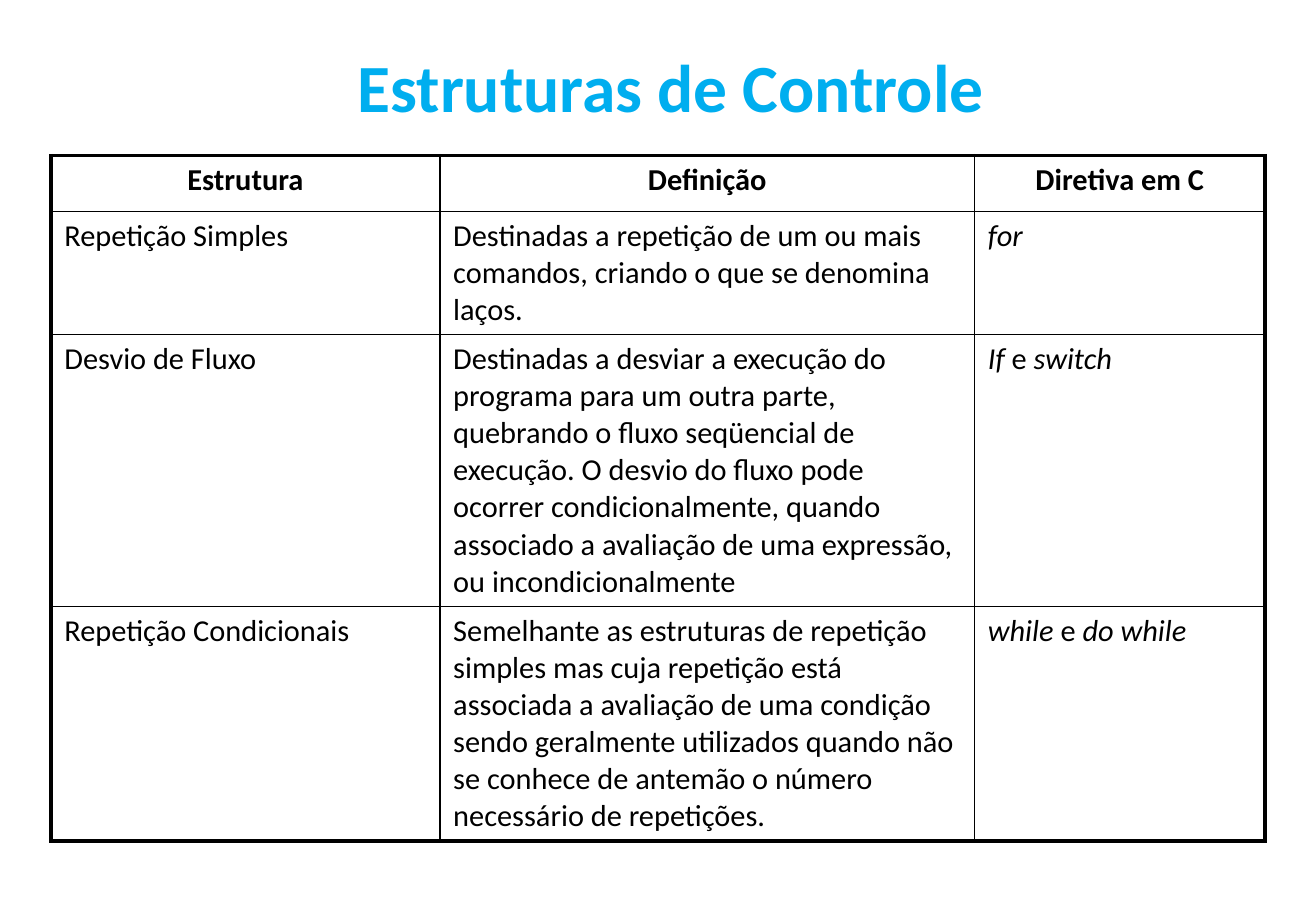
from typing import NamedTuple

from lxml.etree import SubElement
from pptx import Presentation
from pptx.dml.color import RGBColor
from pptx.enum.text import MSO_ANCHOR, MSO_AUTO_SIZE, PP_ALIGN
from pptx.oxml.ns import qn
from pptx.util import Inches, Pt

COLORS = {"title": "00AEEF", "text": "000000", "border": "000000"}
FONT = "Calibri"
COL_SHARES = (29.55, 40.63, 22.07)
ROW_SHARES = (6.13, 13.33, 29.33, 25.33)
INNER, OUTER = 1, 2.25


class Run(NamedTuple):
    text: str
    bold: bool = False
    italic: bool = False


class Structure(NamedTuple):
    name: str
    definition: str
    directive: tuple[Run, ...]


HEADERS = ("Estrutura", "Definição", "Diretiva em C")
STRUCTURES = (
    Structure(
        "Repetição Simples",
        "Destinadas a repetição de um ou mais comandos, criando o que se denomina laços.",
        (Run("for", italic=True),),
    ),
    Structure(
        "Desvio de Fluxo",
        "Destinadas a desviar a execução do programa para um outra parte, "
        "quebrando o fluxo seqüencial de execução. O desvio do fluxo pode "
        "ocorrer condicionalmente, quando associado a avaliação de uma "
        "expressão, ou incondicionalmente",
        (Run("If", italic=True), Run(" e "), Run("switch", italic=True)),
    ),
    Structure(
        "Repetição Condicionais",
        "Semelhante as estruturas de repetição simples mas cuja repetição está "
        "associada a avaliação de uma condição sendo geralmente utilizados "
        "quando não se conhece de antemão o número necessário de repetições.",
        (Run("while ", italic=True), Run("e"), Run(" do while", italic=True)),
    ),
)

prs = Presentation()
prs.slide_width, prs.slide_height = Inches(10.83), Inches(7.5)


def across(percent: float) -> int:
    return round(prs.slide_width * percent / 100)


def down(percent: float) -> int:
    return round(prs.slide_height * percent / 100)


def write(tf, runs: tuple[Run, ...], *, size: float = 18, color: str = "text",
          align: PP_ALIGN = PP_ALIGN.LEFT) -> None:
    p = tf.paragraphs[0]
    p.alignment = align
    p.space_before = Pt(0)
    for run in runs:
        r = p.add_run()
        r.text = run.text
        r.font.name, r.font.size = FONT, Pt(size)
        r.font.bold, r.font.italic = run.bold, run.italic
        r.font.color.rgb = RGBColor.from_string(COLORS[color])


def set_borders(cell, **widths: float) -> None:
    tc_pr = cell._tc.get_or_add_tcPr()
    for side, width in widths.items():
        ln = SubElement(tc_pr, qn(f"a:ln{side}"), w=str(Pt(width)))
        SubElement(SubElement(ln, qn("a:solidFill")), qn("a:srgbClr"), val=COLORS["border"])


def add_title(s, text: str) -> None:
    title = s.shapes.title
    title.left, title.top = across(5.17), down(3.73)
    title.width, title.height = across(91.6), down(11.33)
    tf = title.text_frame
    tf.auto_size, tf.vertical_anchor = MSO_AUTO_SIZE.NONE, MSO_ANCHOR.MIDDLE
    write(tf, (Run(text, bold=True),), size=40, color="title", align=PP_ALIGN.CENTER)


def add_structures(s) -> None:
    rows = [tuple((Run(h, bold=True),) for h in HEADERS)]
    rows += [((Run(x.name),), (Run(x.definition),), x.directive) for x in STRUCTURES]
    last_row, last_col = len(rows) - 1, len(HEADERS) - 1
    table = s.shapes.add_table(
        len(rows), len(HEADERS), across(3.88), down(17.07),
        across(sum(COL_SHARES)), down(sum(ROW_SHARES)),
    ).table
    table.first_row = table.horz_banding = False
    for col, share in zip(table.columns, COL_SHARES):
        col.width = across(share)
    for row, share in zip(table.rows, ROW_SHARES):
        row.height = down(share)
    for i, row in enumerate(rows):
        for j, runs in enumerate(row):
            cell = table.cell(i, j)
            cell.margin_left = cell.margin_right = Inches(0.11)
            cell.margin_top = cell.margin_bottom = Inches(0.05)
            set_borders(
                cell,
                L=OUTER if j == 0 else INNER,
                R=OUTER if j == last_col else INNER,
                T=OUTER if i == 0 else INNER,
                B=OUTER if i == last_row else INNER,
            )
            cell.fill.background()
            write(cell.text_frame, runs, align=PP_ALIGN.LEFT if i else PP_ALIGN.CENTER)


def main() -> None:
    s = prs.slides.add_slide(prs.slide_layouts[5])
    add_title(s, "Estruturas de Controle")
    add_structures(s)
    prs.save("out.pptx")


if __name__ == "__main__":
    main()
